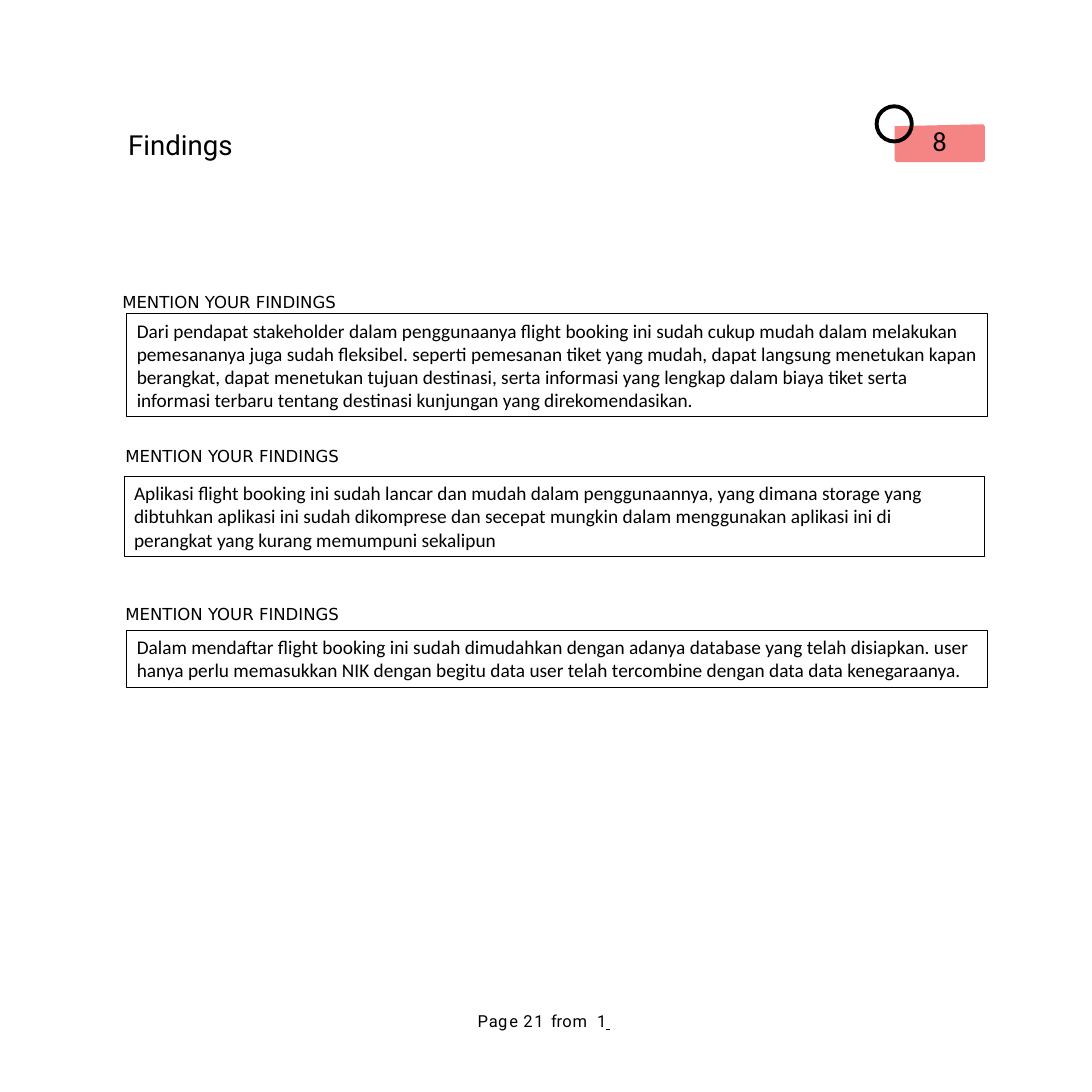
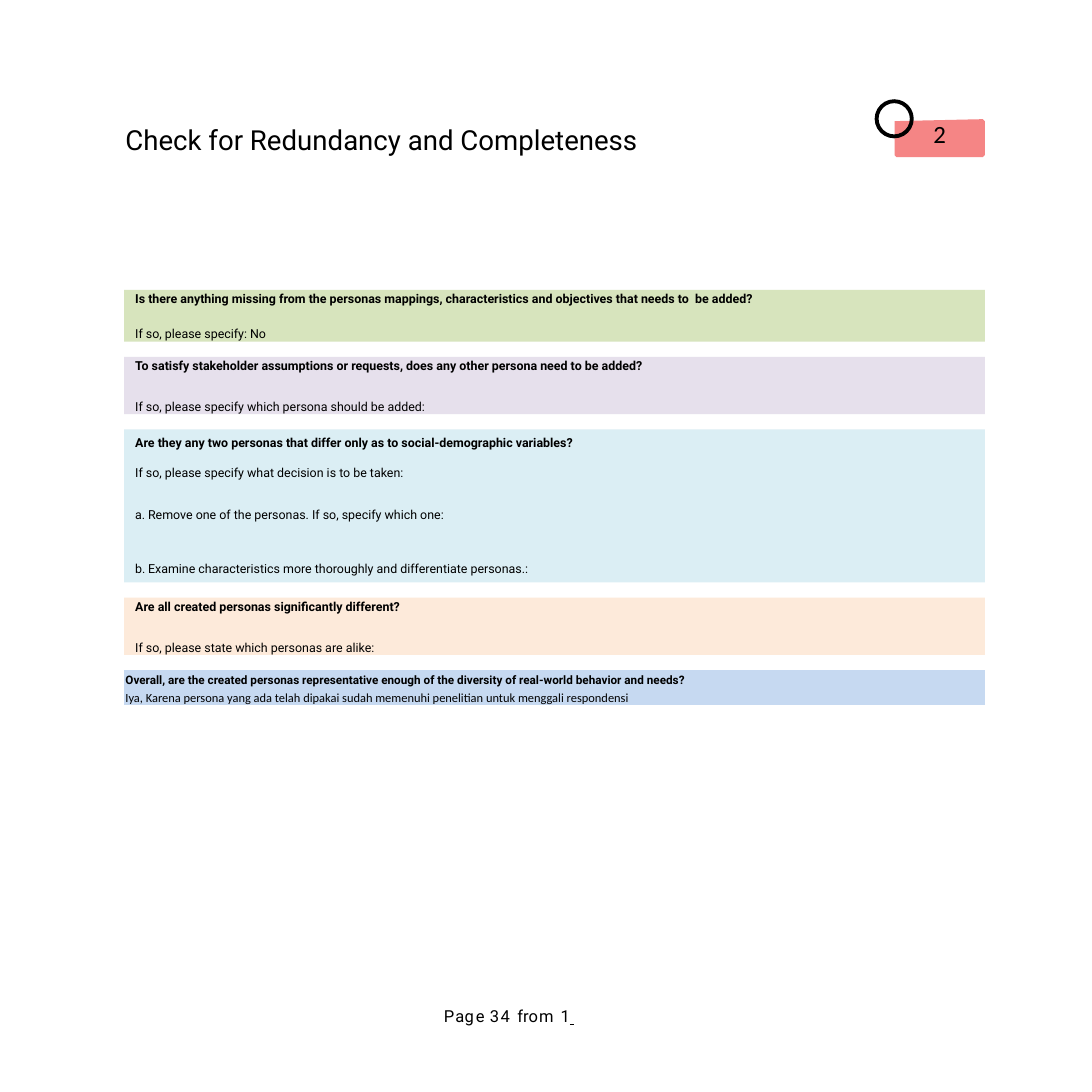
from lxml.etree import SubElement
from pptx import Presentation
from pptx.dml.color import RGBColor
from pptx.enum.shapes import MSO_SHAPE
from pptx.enum.text import MSO_ANCHOR, MSO_AUTO_SIZE, PP_ALIGN
from pptx.oxml.ns import qn
from pptx.util import Cm, Pt

BLACK = "000000"
CORAL = "F58585"
TITLE_FONT = "Roboto"
BODY_FONT = "Calibri"
LABEL_FONT = "DejaVu Sans"
CONTENT_LEFT = 3.18
CONTENT_WIDTH = 22.02
INSET = 0.03
BAND_INSET = 0.28
BAND_GAP = 0.39
BADGE_LEFT = 22.89
BADGE_OUTLINE = [(0, 0.05), (2.26, 0), (2.31, 0.05), (2.31, 0.92),
                 (2.26, 0.97), (0.05, 0.97), (0, 0.92)]

LABEL = "MENTION YOUR FINDINGS"
FINDINGS = [
    (3.1, 7.44, 3.25, 8.03, 2.64,
     "Dari pendapat stakeholder dalam penggunaanya flight booking ini sudah cukup mudah "
     "dalam melakukan pemesananya juga sudah fleksibel. seperti pemesanan tiket yang mudah, "
     "dapat langsung menetukan kapan berangkat, dapat menetukan tujuan destinasi, serta "
     "informasi yang lengkap dalam biaya tiket serta informasi terbaru tentang destinasi "
     "kunjungan yang direkomendasikan."),
    (3.18, 11.38, 3.18, 12.19, 2.06,
     "Aplikasi flight booking ini sudah lancar dan mudah dalam penggunaannya, yang dimana "
     "storage yang dibtuhkan aplikasi ini sudah dikomprese dan secepat mungkin dalam "
     "menggunakan aplikasi ini di perangkat yang kurang memumpuni sekalipun"),
    (3.18, 15.42, 3.25, 16.13, 1.45,
     "Dalam mendaftar flight booking ini sudah dimudahkan dengan adanya database yang telah "
     "disiapkan. user hanya perlu memasukkan NIK dengan begitu data user telah tercombine "
     "dengan data data kenegaraanya."),
]
QUESTIONS = [
    ("D7E4BD", 1.32, INSET,
     "Is there anything missing from the personas mappings, characteristics and objectives "
     "that needs to  be added?",
     [("If so, please specify: No", 14.5, False)]),
    ("E6E0EC", 1.47, INSET,
     "To satisfy stakeholder assumptions or requests, does any other persona need to be added?",
     [("If so, please specify which persona should be added:", 19, False)]),
    ("DBEEF4", 3.91, 0.13,
     "Are they any two personas that differ only as to social-demographic variables?",
     [("If so, please specify what decision is to be taken:", 11.2, False),
      ("Remove one of the personas. If so, specify which one:", 19.9, True),
      ("Examine characteristics more thoroughly and differentiate personas.:", 27.9, True)]),
    ("FDEADA", 1.47, INSET,
     "Are all created personas significantly different?",
     [("If so, please state which personas are alike:", 19, False)]),
]
OVERALL_QUESTION = ("Overall, are the created personas representative enough of the diversity "
                    "of real-world behavior and needs?")
OVERALL_ANSWER = ("Iya, Karena persona yang ada telah dipakai sudah memenuhi penelitian untuk "
                  "menggali respondensi")


def color(hex_code):
    """Turn a hex string into a colour."""
    return RGBColor.from_string(hex_code)


def paint(shape, fill=None, line=None):
    """Give a shape a plain fill and outline without shadow."""
    shape.shadow.inherit = False
    if fill:
        shape.fill.solid()
        shape.fill.fore_color.rgb = color(fill)
    else:
        shape.fill.background()
    if line:
        shape.line.color.rgb = color(line)
        shape.line.width = Pt(0.75)
    else:
        shape.line.fill.background()


def prepare_frame(shape, left=INSET, top=INSET, right=0, bottom=0):
    """Set up a wrapping, top-anchored text frame with insets in centimetres."""
    frame = shape.text_frame
    frame.word_wrap = True
    frame.auto_size = MSO_AUTO_SIZE.NONE
    frame.vertical_anchor = MSO_ANCHOR.TOP
    frame.margin_left, frame.margin_top = Cm(left), Cm(top)
    frame.margin_right, frame.margin_bottom = Cm(right), Cm(bottom)
    return frame


def next_para(frame, align=PP_ALIGN.LEFT):
    """Return the empty first paragraph, or a new one."""
    first = frame.paragraphs[0]
    para = frame.add_paragraph() if first.runs else first
    para.alignment = align
    return para


def add_span(para, text, size, font, bold=False):
    """Add one formatted run."""
    span = para.add_run()
    span.text = text
    span.font.size = Pt(size)
    span.font.name = font
    span.font.bold = bold
    span.font.color.rgb = color(BLACK)
    return span


def place(shape, left, top, width, height):
    """Move and size a shape in centimetres."""
    shape.left, shape.top = Cm(left), Cm(top)
    shape.width, shape.height = Cm(width), Cm(height)


def add_rectangle(page, left, top, width, height, fill=None, line=None):
    """Add a plain rectangle."""
    box = page.shapes.add_shape(MSO_SHAPE.RECTANGLE, Cm(left), Cm(top), Cm(width), Cm(height))
    paint(box, fill, line)
    return box


def add_badge(page, left, top, number, size):
    """Draw the numbered tag with a ring over its corner."""
    group = page.shapes.add_group_shape()
    points = [(Cm(x), Cm(y)) for x, y in BADGE_OUTLINE]
    builder = group.shapes.build_freeform(*points[0])
    builder.add_line_segments(points[1:], close=True)
    tag = builder.convert_to_shape(Cm(left), Cm(top))
    paint(tag, CORAL)
    frame = prepare_frame(tag, 0, 0)
    add_span(next_para(frame, PP_ALIGN.CENTER), number, size, BODY_FONT)
    ring = group.shapes.add_shape(MSO_SHAPE.DONUT, Cm(left - 0.51), Cm(top - 0.51), Cm(1), Cm(1))
    ring.adjustments[0] = 0.1
    paint(ring, BLACK)


def add_footer(page, left, top, page_number, total):
    """Write the letter-spaced page line with its underlined tab."""
    box = page.shapes.add_textbox(Cm(left), Cm(top), Cm(3.58), Cm(0.51))
    para = next_para(prepare_frame(box, INSET, 0))
    tabs = SubElement(para._p.get_or_add_pPr(), qn("a:tabLst"))
    SubElement(tabs, qn("a:tab"), pos=str(Cm(3.43)), algn="l")
    para.line_spacing = Pt(14.1)
    pieces = [("P", 70), ("a", 20), ("g", 140), ("e ", 40), (f"{page_number} ", 120),
              ("fr", -10), ("o", 70), ("m ", 110), (total, -90)]
    for text, spacing in pieces:
        span = add_span(para, text, 12, TITLE_FONT)
        span.font._element.set("spc", str(spacing))
    add_span(para, " \t", 12, "Times New Roman").font.underline = True


def add_page(deck, title, title_box, badge, footer):
    """Add a slide with the shared title, badge and footer."""
    page = deck.slides.add_slide(deck.slide_layouts[5])
    heading = page.shapes.title
    place(heading, *title_box)
    add_span(next_para(prepare_frame(heading)), title, 20, TITLE_FONT)
    add_badge(page, BADGE_LEFT, *badge)
    add_footer(page, *footer)
    return page


def add_finding(page, label_left, label_top, left, top, height, text):
    """Place a label and its outlined finding."""
    label = page.shapes.add_textbox(Cm(label_left), Cm(label_top), Cm(5.82), Cm(0.56))
    add_span(next_para(prepare_frame(label)), LABEL, 12, LABEL_FONT)
    box = add_rectangle(page, left, top, CONTENT_WIDTH, height, line=BLACK)
    frame = prepare_frame(box, 0.25, 0.13, 0.25, 0.13)
    add_span(next_para(frame), text, 14, BODY_FONT)


def add_letter(para):
    """Number a paragraph with a., b. and a hanging indent."""
    properties = para._p.get_or_add_pPr()
    properties.set("marL", str(Cm(0.33)))
    properties.set("indent", str(-Cm(0.33)))
    SubElement(properties, qn("a:buFont"), typeface=TITLE_FONT)
    SubElement(properties, qn("a:buAutoNum"), type="alphaLcPeriod")


def add_question(page, top, fill, height, inset_top, question, answers):
    """Place a coloured band with a bold question and its answer lines."""
    band = add_rectangle(page, CONTENT_LEFT, top, CONTENT_WIDTH, height, fill)
    frame = prepare_frame(band, BAND_INSET, inset_top)
    add_span(next_para(frame), question, 9, TITLE_FONT, bold=True)
    for text, gap, lettered in answers:
        para = next_para(frame)
        if lettered:
            add_letter(para)
        para.space_before = Pt(gap)
        add_span(para, text, 9, TITLE_FONT)


def add_overall(page, top):
    """Place the closing band with its question and answer."""
    band = add_rectangle(page, CONTENT_LEFT, top, CONTENT_WIDTH, 0.89, "C6D9F1")
    frame = prepare_frame(band)
    question = next_para(frame)
    question.line_spacing = 1.12
    add_span(question, OVERALL_QUESTION, 8.5, TITLE_FONT, bold=True)
    answer = next_para(frame)
    answer.line_spacing = 1.12
    answer.space_before = Pt(0.9)
    add_span(answer, OVERALL_ANSWER, 9, BODY_FONT)


def build_findings(deck):
    """Build the findings slide."""
    page = add_page(deck, "Findings", (3.25, 3.25, 9.98, 0.89),
                    (3.18, "8", 20), (12.19, 25.88, "21", " 1"))
    for finding in FINDINGS:
        add_finding(page, *finding)


def build_check(deck):
    """Build the redundancy and completeness slide."""
    page = add_page(deck, "Check for Redundancy and Completeness", (3.18, 3.12, 14.17, 0.89),
                    (3.05, "2", 18), (11.33, 25.76, "34", "1"))
    top = 7.42
    for fill, height, inset_top, question, answers in QUESTIONS:
        add_question(page, top, fill, height, inset_top, question, answers)
        top += height + BAND_GAP
    add_overall(page, top)


def main():
    """Build and save the deck."""
    deck = Presentation()
    deck.slide_width = deck.slide_height = Cm(27.94)
    build_findings(deck)
    build_check(deck)
    deck.save("out.pptx")


if __name__ == "__main__":
    main()
